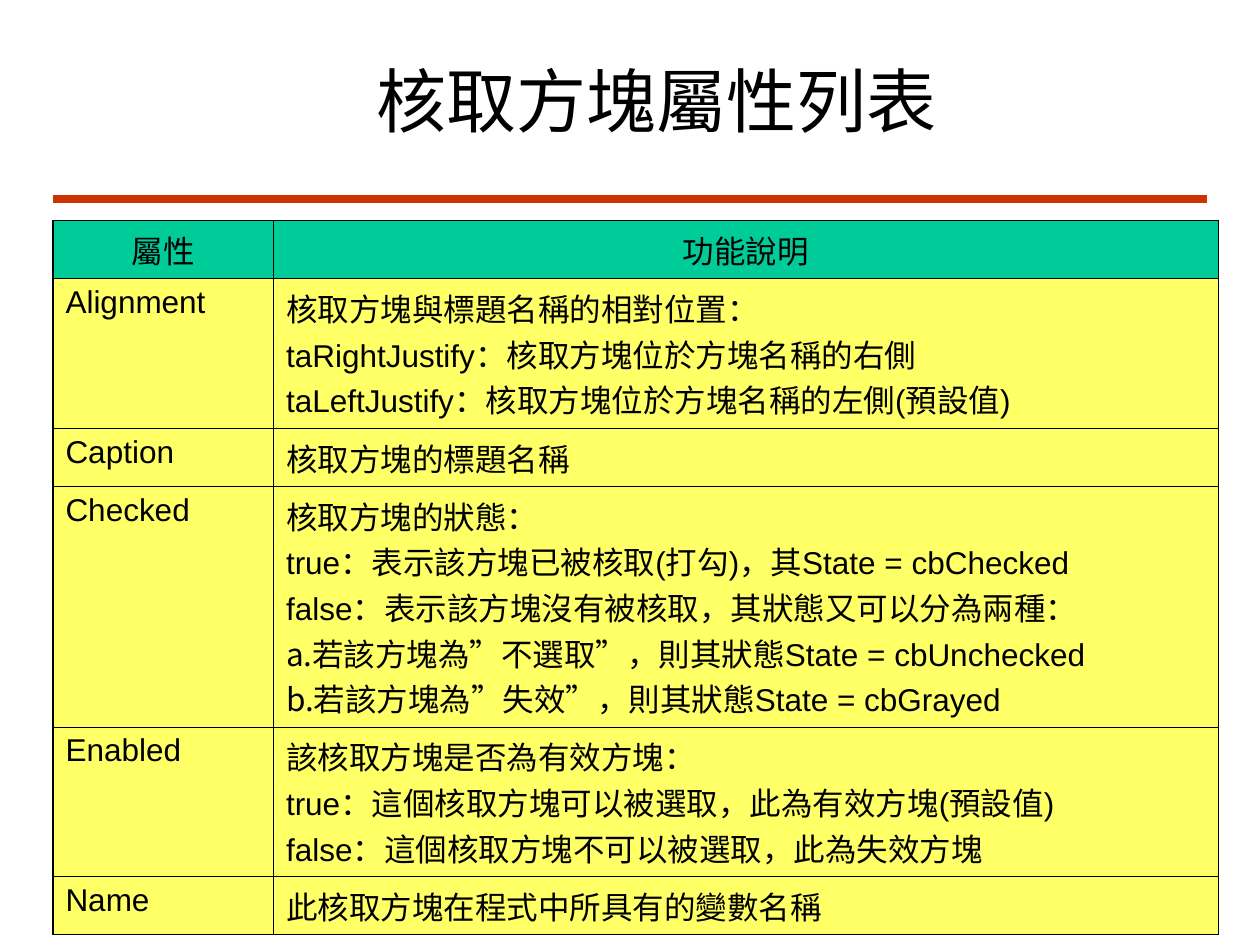
from lxml import etree
from pptx import Presentation
from pptx import util as u
from pptx.dml.color import RGBColor
from pptx.enum import shapes, text
from pptx.oxml.ns import qn

FONT = "Arial"
BLACK, RED, GREEN, YELLOW = "000000", "CC3300", "00CC99", "FFFF66"
OUTER, INNER = 0.96, 0.34  # border widths in points
COLUMN_WIDTHS = [1.75, 7.5]
ROW_HEIGHTS = [0.4, 1, 0.4, 1.6, 1, 0.4]
HEADER = ("屬性", ["功能說明"])
PROPERTIES = [
    ("Alignment", ["核取方塊與標題名稱的相對位置：",
                   "taRightJustify：核取方塊位於方塊名稱的右側",
                   "taLeftJustify：核取方塊位於方塊名稱的左側(預設值)"]),
    ("Caption", ["核取方塊的標題名稱"]),
    ("Checked", ["核取方塊的狀態：",
                 "true：表示該方塊已被核取(打勾)，其State = cbChecked",
                 "false：表示該方塊沒有被核取，其狀態又可以分為兩種：",
                 "若該方塊為”不選取”，則其狀態State = cbUnchecked",
                 "若該方塊為”失效”，則其狀態State = cbGrayed"]),
    ("Enabled", ["該核取方塊是否為有效方塊：",
                 "true：這個核取方塊可以被選取，此為有效方塊(預設值)",
                 "false：這個核取方塊不可以被選取，此為失效方塊"]),
    ("Name", ["此核取方塊在程式中所具有的變數名稱"]),
]
LETTERED_PREFIX = "若"  # the two cases listed as a. and b.


def color(hex_code):
    return RGBColor.from_string(hex_code)


def write(paragraph, words, size=18, align=text.PP_ALIGN.LEFT, lettered=False):
    if lettered:
        properties = paragraph._p.get_or_add_pPr()
        etree.SubElement(properties, qn("a:buFont"), typeface=FONT)
        etree.SubElement(properties, qn("a:buAutoNum"), type="alphaLcPeriod")
    paragraph.alignment = align
    run = paragraph.add_run()
    run.text = words
    run.font.name = FONT
    run.font.size = u.Pt(size)
    run.font.bold = False
    run.font.color.rgb = color(BLACK)


def add_title(slide, words):
    title = slide.shapes.title
    title.left, title.top = u.Inches(2.67), u.Inches(0.33)
    title.width, title.height = u.Inches(5.08), u.Inches(0.92)
    title.text_frame.vertical_anchor = text.MSO_ANCHOR.MIDDLE
    write(title.text_frame.paragraphs[0], words, size=40,
          align=text.PP_ALIGN.CENTER)


def add_rule(slide, left, right, y):
    rule = slide.shapes.add_connector(
        shapes.MSO_CONNECTOR.STRAIGHT,
        u.Inches(left), u.Inches(y), u.Inches(right), u.Inches(y))
    rule.line.color.rgb = color(RED)
    rule.line.width = u.Pt(4.5)
    etree.SubElement(rule._element.spPr, qn("a:effectLst"))


def set_borders(cell, widths):
    properties = cell._tc.get_or_add_tcPr()
    for side, width in widths.items():
        border = etree.SubElement(properties, qn(f"a:ln{side}"),
                                  w=str(u.Pt(width)))
        fill = etree.SubElement(border, qn("a:solidFill"))
        etree.SubElement(fill, qn("a:srgbClr"), val=BLACK)


def fill_cell(cell, lines, fill, align):
    frame = cell.text_frame
    for index, line in enumerate(lines):
        paragraph = frame.add_paragraph() if index else frame.paragraphs[0]
        write(paragraph, line, align=align,
              lettered=line.startswith(LETTERED_PREFIX))
    cell.margin_left = cell.margin_right = u.Inches(0.1)
    cell.margin_top = cell.margin_bottom = u.Inches(0.05)
    cell.fill.solid()
    cell.fill.fore_color.rgb = color(fill)


def add_property_table(slide):
    entries = [HEADER] + PROPERTIES
    table = slide.shapes.add_table(
        len(entries), len(COLUMN_WIDTHS), u.Inches(0.42), u.Inches(1.75),
        u.Inches(sum(COLUMN_WIDTHS)), u.Inches(sum(ROW_HEIGHTS))).table
    table.first_row = table.horz_banding = False
    for column, width in zip(table.columns, COLUMN_WIDTHS):
        column.width = u.Inches(width)
    for row, height in zip(table.rows, ROW_HEIGHTS):
        row.height = u.Inches(height)

    last_row, last_column = len(entries) - 1, len(COLUMN_WIDTHS) - 1
    for r, (name, description) in enumerate(entries):
        fill = YELLOW if r else GREEN
        align = text.PP_ALIGN.LEFT if r else text.PP_ALIGN.CENTER
        for c, lines in enumerate([[name], description]):
            cell = table.cell(r, c)
            set_borders(cell, {
                "L": OUTER if c == 0 else INNER,
                "R": OUTER if c == last_column else INNER,
                "T": OUTER if r == 0 else INNER,
                "B": OUTER if r == last_row else INNER,
            })
            fill_cell(cell, lines, fill, align)


def main():
    deck = Presentation()
    deck.slide_width, deck.slide_height = u.Inches(10), u.Inches(7.5)
    slide = deck.slides.add_slide(deck.slide_layouts[5])  # title only

    # Heading and the rule beneath it
    add_rule(slide, 0.42, 9.58, 1.58)
    add_title(slide, "核取方塊屬性列表")

    # Check box properties
    add_property_table(slide)
    deck.save("out.pptx")


if __name__ == "__main__":
    main()
